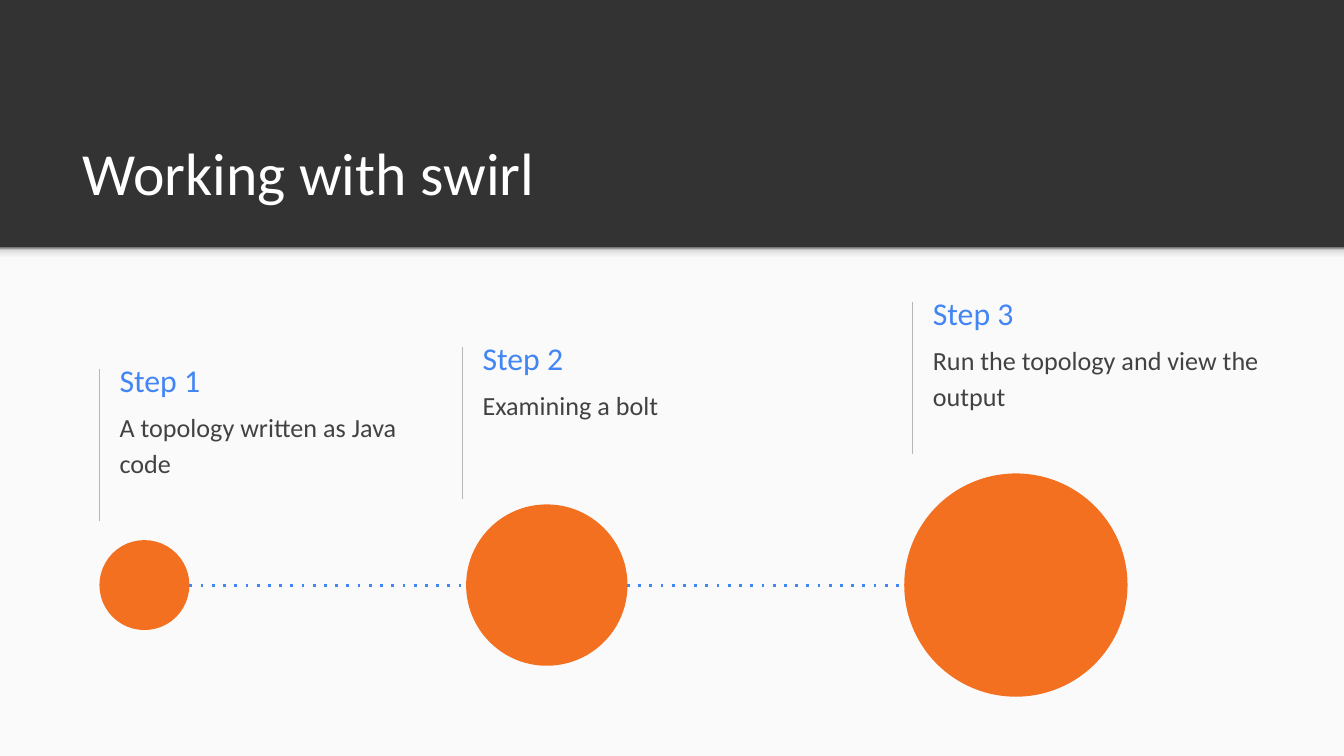
import pptx
import pptx.dml.color
import pptx.enum.shapes
import pptx.enum.text
import pptx.oxml
import pptx.oxml.ns
import pptx.util
from dataclasses import dataclass
from lxml import etree

Cm = pptx.util.Cm
Pt = pptx.util.Pt
qn = pptx.oxml.ns.qn
SHAPE = pptx.enum.shapes.MSO_SHAPE
ANCHOR = pptx.enum.text.MSO_ANCHOR


@dataclass(frozen=True)
class Theme:
    font: str = "Calibri"
    dark: str = "333333"
    paper: str = "FAFAFA"
    white: str = "FFFFFF"
    accent: str = "4285F4"
    body: str = "424242"
    rule: str = "B7B7B7"
    circle: str = "F37021"
    shadow: tuple = ((0, "F9F9F9"), (36, "F9F9F9"), (80, "DEDEDE"), (100, "999999"))
    title_size: int = 32
    heading_size: int = 17
    body_size: int = 14


@dataclass(frozen=True)
class Step:
    heading: str
    text: str
    left: float
    top: float
    text_width: float
    circle_left: float
    diameter: float


THEME = Theme()
WIDTH, HEIGHT, BAND = 25.4, 14.29, 4.68
AXIS = 11.06
STEPS = (
    Step("Step 1", "A topology written as Java code", 1.88, 6.97, 5.82, 1.88, 1.7),
    Step("Step 2", "Examining a bolt", 8.74, 6.55, 6.78, 8.81, 3.05),
    Step("Step 3", "Run the topology and view the output", 17.25, 5.71, 6.78, 17.09, 4.22),
)


def rgb(color):
    return pptx.dml.color.RGBColor.from_string(color)


def add_filled(slide, kind, left, top, width, height, color):
    sp = slide.shapes.add_shape(kind, Cm(left), Cm(top), Cm(width), Cm(height))
    sp.shadow.inherit = False
    sp.fill.solid()
    sp.fill.fore_color.rgb = rgb(color)
    sp.line.fill.background()
    return sp


def add_band_shadow(slide):
    sp = add_filled(slide, SHAPE.RECTANGLE, 0, BAND, WIDTH, 0.3, THEME.paper)
    sp.fill.gradient()
    sp.fill.gradient_angle = 90
    stops = sp._element.spPr.find(qn("a:gradFill")).find(qn("a:gsLst"))
    for stop in list(stops):
        stops.remove(stop)
    for position, color in THEME.shadow:
        stop = etree.SubElement(stops, qn("a:gs"), pos=str(position * 1000))
        etree.SubElement(stop, qn("a:srgbClr"), val=color)


def add_line(slide, x1, y1, x2, y2, color, width, dash=None):
    line = slide.shapes.add_connector(
        pptx.enum.shapes.MSO_CONNECTOR.STRAIGHT, Cm(x1), Cm(y1), Cm(x2), Cm(y2))
    line.line.color.rgb = rgb(color)
    line.line.width = Pt(width)
    if dash:
        etree.SubElement(line.get_or_add_ln(), qn("a:prstDash"), val=dash)
    etree.SubElement(line._element.spPr, qn("a:effectLst"))


def write(sp, text, size, color, anchor):
    tf = sp.text_frame
    tf.word_wrap = True
    tf.auto_size = pptx.enum.text.MSO_AUTO_SIZE.NONE
    tf.vertical_anchor = anchor
    tf.margin_left = tf.margin_right = tf.margin_top = tf.margin_bottom = Cm(0.25)
    p = tf.paragraphs[0]
    p.text = text
    p.alignment = pptx.enum.text.PP_ALIGN.LEFT
    p.font.name = THEME.font
    p.font.size = Pt(size)
    p.font.color.rgb = rgb(color)
    return p


def add_text(slide, left, top, width, height, *style):
    sp = slide.shapes.add_textbox(Cm(left), Cm(top), Cm(width), Cm(height))
    return write(sp, *style)


def add_title(slide, text):
    sp = slide.shapes.title
    sp.left, sp.top, sp.width, sp.height = Cm(1.31), Cm(2.05), Cm(22.83), Cm(2.13)
    write(sp, text, THEME.title_size, THEME.white, ANCHOR.BOTTOM)


def add_step(slide, step):
    left = step.left + 0.13
    add_line(slide, step.left, step.top, step.left, step.top + 2.88, THEME.rule, 0.75)
    add_text(slide, left, step.top - 0.34, 5.03, 1.09,
             step.heading, THEME.heading_size, THEME.accent, ANCHOR.MIDDLE)
    p = add_text(slide, left, step.top + 0.47, step.text_width, 1.6,
                 step.text, THEME.body_size, THEME.body, ANCHOR.TOP)
    p.line_spacing = 1.15
    p.space_after = Pt(16)


def add_timeline(slide, steps):
    first, last = steps[0], steps[-1]
    add_line(slide, first.circle_left + first.diameter, AXIS, last.circle_left, AXIS,
             THEME.accent, 1.5, "dot")
    for step in steps:
        add_filled(slide, SHAPE.OVAL, step.circle_left, AXIS - step.diameter / 2,
                   step.diameter, step.diameter, THEME.circle)


def main():
    prs = pptx.Presentation()
    prs.slide_width, prs.slide_height = Cm(WIDTH), Cm(HEIGHT)
    slide = prs.slides.add_slide(prs.slide_layouts[5])
    slide.background.fill.solid()
    slide.background.fill.fore_color.rgb = rgb(THEME.dark)
    add_filled(slide, SHAPE.RECTANGLE, 0, BAND, WIDTH, HEIGHT - BAND, THEME.paper)
    add_band_shadow(slide)
    add_title(slide, "Working with swirl")
    for step in STEPS:
        add_step(slide, step)
    add_timeline(slide, STEPS)
    prs.save("out.pptx")


if __name__ == "__main__":
    main()
